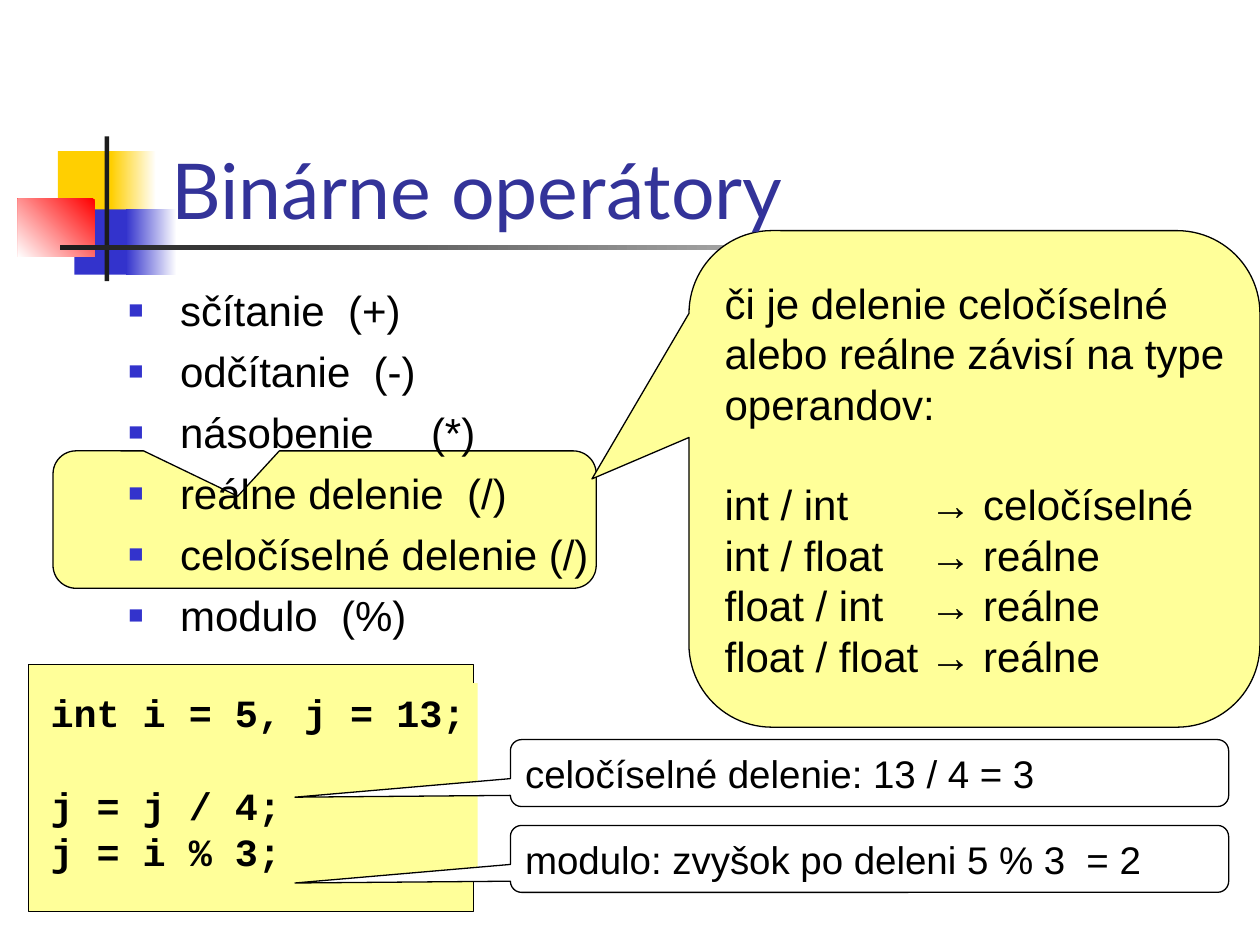
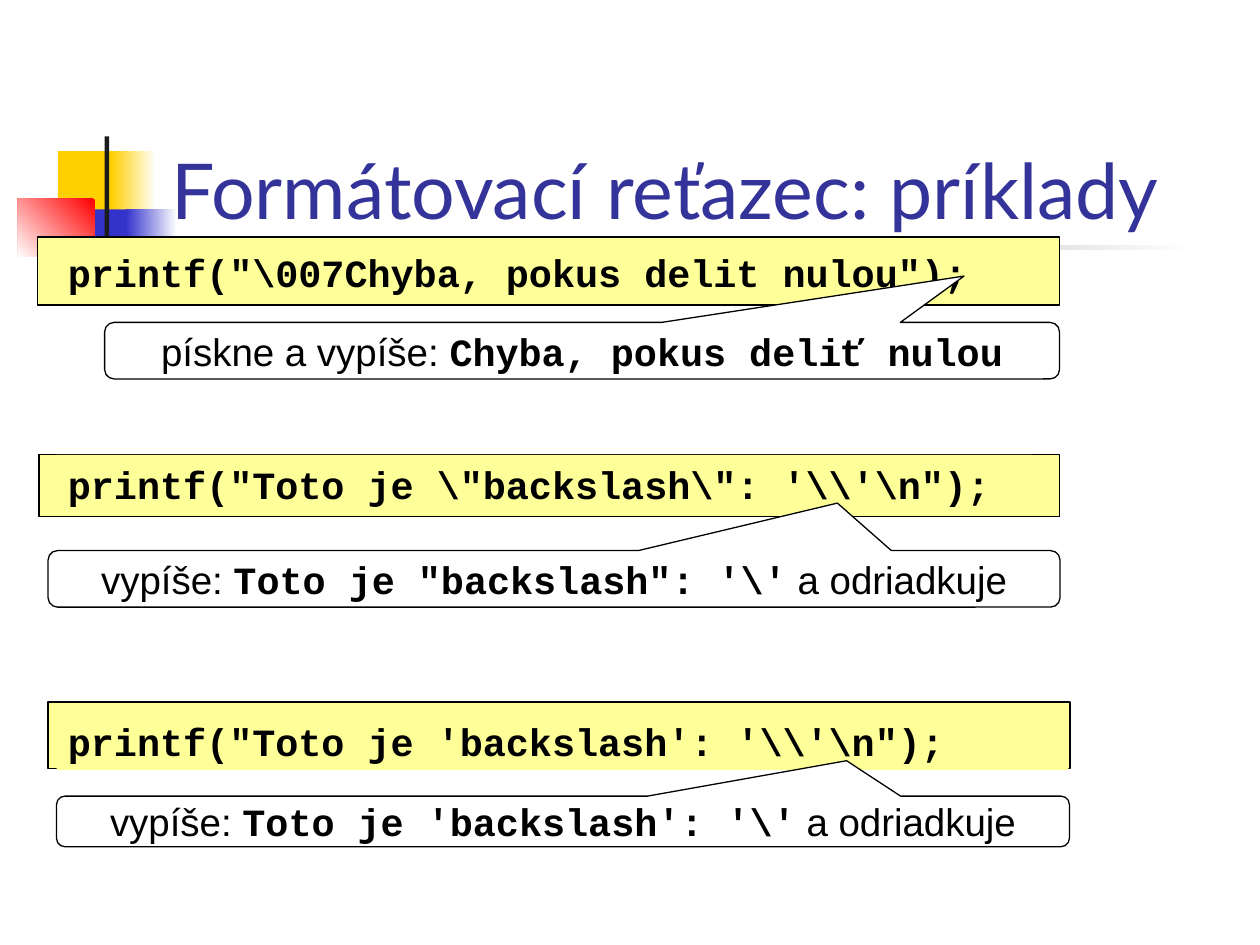
import lxml.etree
import pptx
import pptx.dml.color
import pptx.enum.shapes
import pptx.enum.text
import pptx.oxml.ns
import pptx.util

Cm, Pt = pptx.util.Cm, pptx.util.Pt
qn = pptx.oxml.ns.qn
KIND = pptx.enum.shapes.MSO_SHAPE
ANCHOR = pptx.enum.text.MSO_ANCHOR
ALIGN = pptx.enum.text.PP_ALIGN

THEME = {
    "black": "000000", "white": "FFFFFF", "cream": "FFFF99", "title": "333399",
    "gold": "FFCF01", "blue": "3333CC", "red": "FF0000", "dark": "1C1C1C",
    "fonts": {
        "title": {"name": "Lato", "size": Pt(44), "bold": False},
        "body": {"name": "Arial", "size": Pt(24), "bold": False},
        "note": {"name": "Arial", "size": Pt(22), "bold": False},
        "code": {"name": "Courier New", "size": Pt(22), "bold": True},
    },
    "leading": 1.2, "line": Pt(0.75),
}

DECOR = [
    ((1.17, 3.05, 1.22, 1.32), ("gold",), 0),
    ((2.24, 3.05, 0.91, 1.32), ("white", "gold"), 180),
    ((1.5, 4.22, 1.17, 1.32), ("blue",), 0),
    ((2.54, 4.22, 1.02, 1.32), ("white", "blue"), 180),
    ((0.36, 4.01, 1.55, 1.17), ("red", "white"), 225),
    ((2.11, 2.75, 0.09, 2.92), ("dark",), 0),
    ((1.22, 4.94, 22.86, 0.1), ("white", "dark"), 180),
]
TITLE = (3.2, 1.7, 21.64, 3.17)

OPS = ["sčítanie  (+)", "odčítanie  (-)", "násobenie\t(*)", "reálne delenie  (/)",
       "celočíselné delenie (/)", "modulo  (%)"]
RULE = "či je delenie celočíselné alebo reálne závisí na type operandov:"
CASES = ["int / int\t→ celočíselné", "int / float\t→ reálne",
         "float / int\t→ reálne", "float / float\t→ reálne"]
CODE = ["int i = 5, j = 13;", "j = j / 4;", "j = i % 3;"]
NOTES = ["celočíselné delenie: 13 / 4 = 3", "modulo: zvyšok po deleni 5 % 3  = 2"]

PRINTS = [
    {"frame": (0.76, 4.78, 20.6, 1.37), "inner": (1.14, 4.9, 19.66, 1.17),
     "code": r'printf("\007Chyba, pokus delit nulou");',
     "note": (2.11, 6.5, 19.25, 1.14), "tip": (0.4, -1.32),
     "runs": [("pískne a vypíše: ", "note"), ("Chyba, pokus deliť nulou", "code")]},
    {"frame": (0.79, 9.17, 20.57, 1.24), "inner": (1.14, 9.17, 19.66, 1.17),
     "code": r'''printf("Toto je \"backslash\": '\\'\n");''',
     "note": (0.97, 11.1, 20.4, 1.14), "tip": (0.28, -1.34),
     "runs": [("vypíše: ", "note"), (r'''Toto je "backslash": '\'''', "code"),
              (" a odriadkuje", "note")]},
    {"frame": (0.97, 14.15, 20.6, 1.35), "inner": (1.14, 14.35, 20.4, 1.17),
     "code": r'''printf("Toto je 'backslash': '\\'\n");''',
     "note": (1.14, 16.05, 20.42, 1.02), "tip": (0.28, -1.2),
     "runs": [("vypíše: ", "note"), (r"Toto je 'backslash': '\'", "code"),
              (" a odriadkuje", "note")]},
]


def put(thing, form):
    for key, value in form.items():
        setattr(thing, key, value)


def tint(name):
    return pptx.dml.color.RGBColor.from_string(THEME[name])


def draw(slide, box, fills, kind=KIND.RECTANGLE, line=False, angle=0, tip=None):
    shape = slide.shapes.add_shape(kind, *map(Cm, box))
    shape.shadow.inherit = False
    if len(fills) == 1:
        shape.fill.solid()
        shape.fill.fore_color.rgb = tint(fills[0])
    else:
        shape.fill.gradient()
        shape.fill.gradient_angle = angle
        for stop, name in zip(shape.fill.gradient_stops, fills):
            stop.color.rgb = tint(name)
    if line:
        shape.line.color.rgb = tint("black")
        shape.line.width = THEME["line"]
    else:
        shape.line.fill.background()
    if tip:
        for spot, value in enumerate((*tip, 0.167)):
            shape.adjustments[spot] = value
    return shape


def bubble(slide, box, fill, tip):
    return draw(slide, box, (fill,), KIND.ROUNDED_RECTANGULAR_CALLOUT, True, tip=tip)


def add(parent, tag, **marks):
    return lxml.etree.SubElement(parent, qn("a:" + tag), marks)


def bullet(props):
    for key, value in {"marL": Cm(1.04), "indent": -Cm(1.04)}.items():
        props.set(key, str(value))
    add(add(props, "buClr"), "srgbClr", val=THEME["blue"])
    add(props, "buSzPct", val="60000")
    add(props, "buFont", typeface="Arial")
    add(props, "buChar", char="■")


def write(shape, lines, tone="black", anchor=ANCHOR.TOP, align=ALIGN.LEFT,
          gaps=None, tab=None, dots=False, **edges):
    frame = shape.text_frame
    put(frame, {"word_wrap": True, "vertical_anchor": anchor,
                "margin_left": Cm(0.23), "margin_right": Cm(0.23),
                "margin_top": Cm(0.13), "margin_bottom": Cm(0.13), **edges})
    for row, runs in enumerate(lines):
        para = frame.paragraphs[0] if row == 0 else frame.add_paragraph()
        props = para._p.get_or_add_pPr()
        if dots:
            bullet(props)
        if tab:
            add(add(props, "tabLst"), "tab", pos=str(Cm(tab)), algn="l")
        size = THEME["fonts"][runs[0][1]]["size"].pt
        put(para, {"alignment": align, "line_spacing": Pt(size * THEME["leading"]),
                   "space_before": Pt((gaps or {}).get(row, 0))})
        for text, style in runs:
            run = para.add_run()
            run.text = text
            put(run.font, THEME["fonts"][style])
            run.font.color.rgb = tint(tone)


def plain(texts, style):
    return [[(text, style)] for text in texts]


def start(deck):
    slide = deck.slides.add_slide(deck.slide_layouts[6])
    for box, fills, angle in DECOR:
        draw(slide, box, fills, angle=angle)
    return slide


def label(slide, box, lines, **form):
    write(slide.shapes.add_textbox(*map(Cm, box)), lines,
          margin_left=Cm(0.25), margin_right=Cm(0.25), **form)


def head(slide, text):
    label(slide, TITLE, plain([text], "title"), tone="title", anchor=ANCHOR.BOTTOM)


def listing(slide, frame, inner, texts, gaps=None):
    draw(slide, frame, ("cream",), line=True)
    write(draw(slide, inner, ("cream",)), plain(texts, "code"), gaps=gaps,
          margin_right=0)


def ops(deck):
    slide = start(deck)
    bubble(slide, (1.07, 9.09, 10.95, 2.77), "cream", (-0.16, -0.17))
    rule = bubble(slide, (13.89, 4.65, 11.51, 10.01), "cream", (-0.67, 0))
    write(rule, plain([RULE] + CASES, "body"), anchor=ANCHOR.MIDDLE,
          gaps={1: 28.8}, tab=4.13, margin_right=0)
    head(slide, "Binárne operátory")
    label(slide, (2.34, 5.61, 10.46, 7.67), plain(OPS, "body"), dots=True, tab=6.1,
          gaps={row: 6 for row in range(1, len(OPS))})
    listing(slide, (0.58, 13.39, 8.97, 4.98), (0.79, 13.77, 8.84, 3.96), CODE,
            {1: 26.4})
    for row, text in enumerate(NOTES):
        note = bubble(slide, (10.29, 14.91 + 1.73 * row, 14.48, 1.35), "white",
                      (-0.8, 0.36))
        write(note, plain([text], "note"), anchor=ANCHOR.MIDDLE)


def prints(deck):
    slide = start(deck)
    head(slide, "Formátovací reťazec: príklady")
    for part in PRINTS:
        listing(slide, part["frame"], part["inner"], [part["code"]])
        note = bubble(slide, part["note"], "white", part["tip"])
        write(note, [part["runs"]], anchor=ANCHOR.MIDDLE, align=ALIGN.CENTER)


def main():
    deck = pptx.Presentation()
    put(deck, {"slide_width": Cm(25.4), "slide_height": Cm(19.05)})
    ops(deck)
    prints(deck)
    deck.save("out.pptx")


if __name__ == "__main__":
    main()
